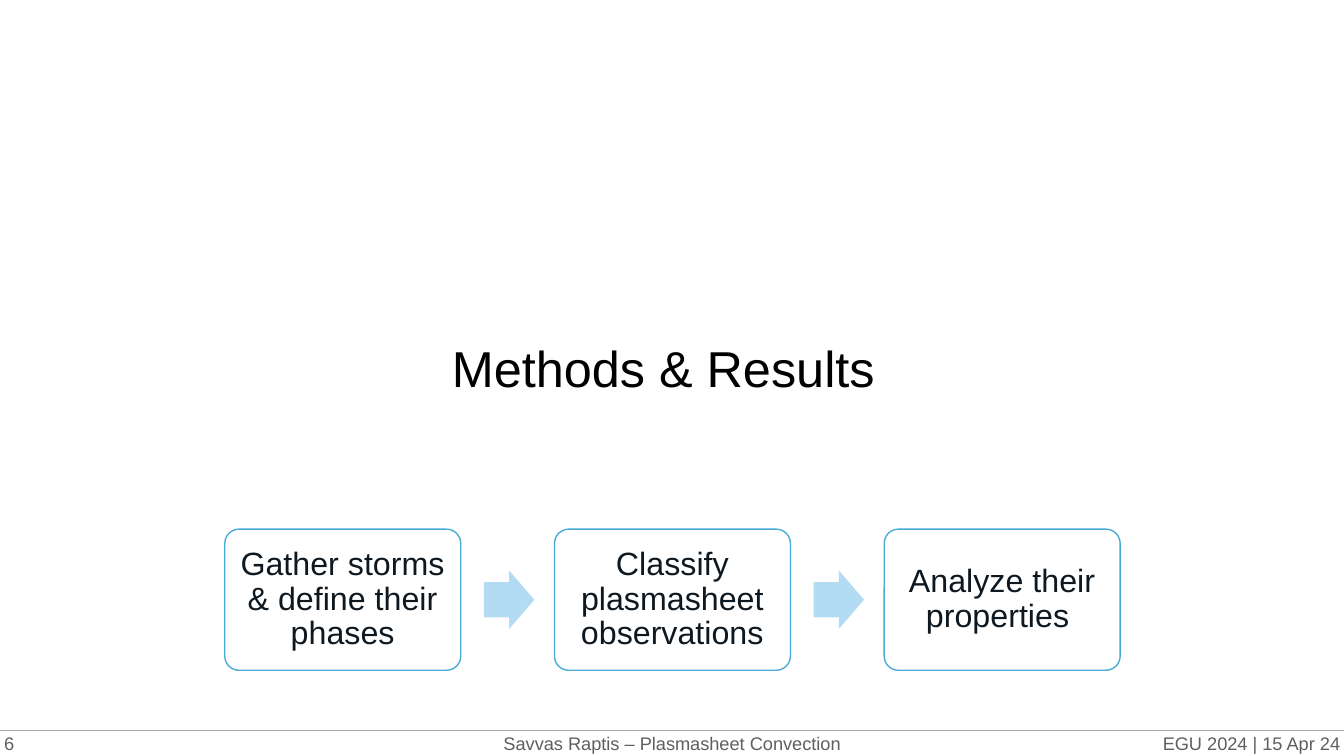
from lxml import etree
from pptx import Presentation
from pptx.dml.color import RGBColor
from pptx.enum.shapes import MSO_CONNECTOR, MSO_SHAPE
from pptx.enum.text import MSO_ANCHOR, PP_ALIGN
from pptx.oxml.ns import qn
from pptx.util import Inches, Pt

TITLE = "Methods & Results"
STEPS = [
    "Gather storms & define their phases",
    "Classify plasmasheet observations",
    "Analyze their properties ",
]
# text, left, top, width, height, alignment
FOOTERS = [
    ("Savvas Raptis – Plasmasheet Convection", 0, 7.25, 13.33, 0.25, PP_ALIGN.CENTER),
    ("EGU 2024 | 15 Apr 24", 9.09, 7.25, 4.2, 0.25, PP_ALIGN.RIGHT),
    ("6", 0.04, 7.26, 4.2, 0.23, PP_ALIGN.LEFT),
]
COLORS = {
    "title": "000000",
    "footer": "5F5F5F",
    "rule": "A6A6A6",
    "step_fill": "FFFFFF",
    "step_line": "4AACD6",
    "step_text": "0E1820",
    "arrow": "B3DBF4",
}
FONT = "Arial"
SLIDE_WIDTH, SLIDE_HEIGHT = 13.33, 7.5
RULE_TOP = 7.25
STEP_LEFT, STEP_TOP, STEP_WIDTH, STEP_HEIGHT = 2.23, 5.25, 2.34, 1.4
STEP_PITCH = 3.27
ARROW_OFFSET, ARROW_WIDTH, ARROW_HEIGHT = 2.57, 0.5, 0.58


def color(name):
    return RGBColor.from_string(COLORS[name])


def write(shape, text, size, color_name, align, inset=0.0):
    """Put one vertically centred paragraph into the shape and return it."""
    frame = shape.text_frame
    frame.word_wrap = True
    frame.vertical_anchor = MSO_ANCHOR.MIDDLE
    frame.margin_left = frame.margin_right = Inches(inset)
    frame.margin_top = frame.margin_bottom = Inches(inset)
    para = frame.paragraphs[0]
    para.text = text
    para.alignment = align
    para.font.name = FONT
    para.font.size = Pt(size)
    para.font.color.rgb = color(color_name)
    return para


def add_filled(slide, kind, left, top, width, height, fill):
    shape = slide.shapes.add_shape(
        kind, Inches(left), Inches(top), Inches(width), Inches(height))
    shape.shadow.inherit = False
    shape.fill.solid()
    shape.fill.fore_color.rgb = color(fill)
    shape.line.fill.background()
    return shape


def add_text(slide, left, top, width, height, *style):
    box = slide.shapes.add_textbox(
        Inches(left), Inches(top), Inches(width), Inches(height))
    write(box, *style)


def add_footer(slide):
    for text, left, top, width, height, align in FOOTERS:
        add_text(slide, left, top, width, height, text, 13, "footer", align)
    rule = slide.shapes.add_connector(
        MSO_CONNECTOR.STRAIGHT, 0, Inches(RULE_TOP),
        Inches(SLIDE_WIDTH), Inches(RULE_TOP))
    rule.line.color.rgb = color("rule")
    rule.line.width = Pt(0.75)
    etree.SubElement(rule._element.spPr, qn("a:effectLst"))


def add_steps(slide):
    arrow_top = STEP_TOP + (STEP_HEIGHT - ARROW_HEIGHT) / 2
    for index, text in enumerate(STEPS):
        left = STEP_LEFT + index * STEP_PITCH
        step = add_filled(slide, MSO_SHAPE.ROUNDED_RECTANGLE, left, STEP_TOP,
                          STEP_WIDTH, STEP_HEIGHT, "step_fill")
        step.adjustments[0] = 0.1
        step.line.color.rgb = color("step_line")
        step.line.width = Pt(1)
        para = write(step, text, 23, "step_text", PP_ALIGN.CENTER, 0.1)
        para.line_spacing = 0.9
        if index < len(STEPS) - 1:
            arrow = add_filled(slide, MSO_SHAPE.RIGHT_ARROW, left + ARROW_OFFSET,
                               arrow_top, ARROW_WIDTH, ARROW_HEIGHT, "arrow")
            arrow.adjustments[0] = 0.6
            arrow.adjustments[1] = 0.5


def main():
    deck = Presentation()
    deck.slide_width = Inches(SLIDE_WIDTH)
    deck.slide_height = Inches(SLIDE_HEIGHT)
    page = deck.slides.add_slide(deck.slide_layouts[6])
    add_footer(page)
    add_text(page, 0.46, 0, 12.24, 7.28, TITLE, 36, "title", PP_ALIGN.CENTER)
    add_steps(page)
    deck.save("out.pptx")


if __name__ == "__main__":
    main()
